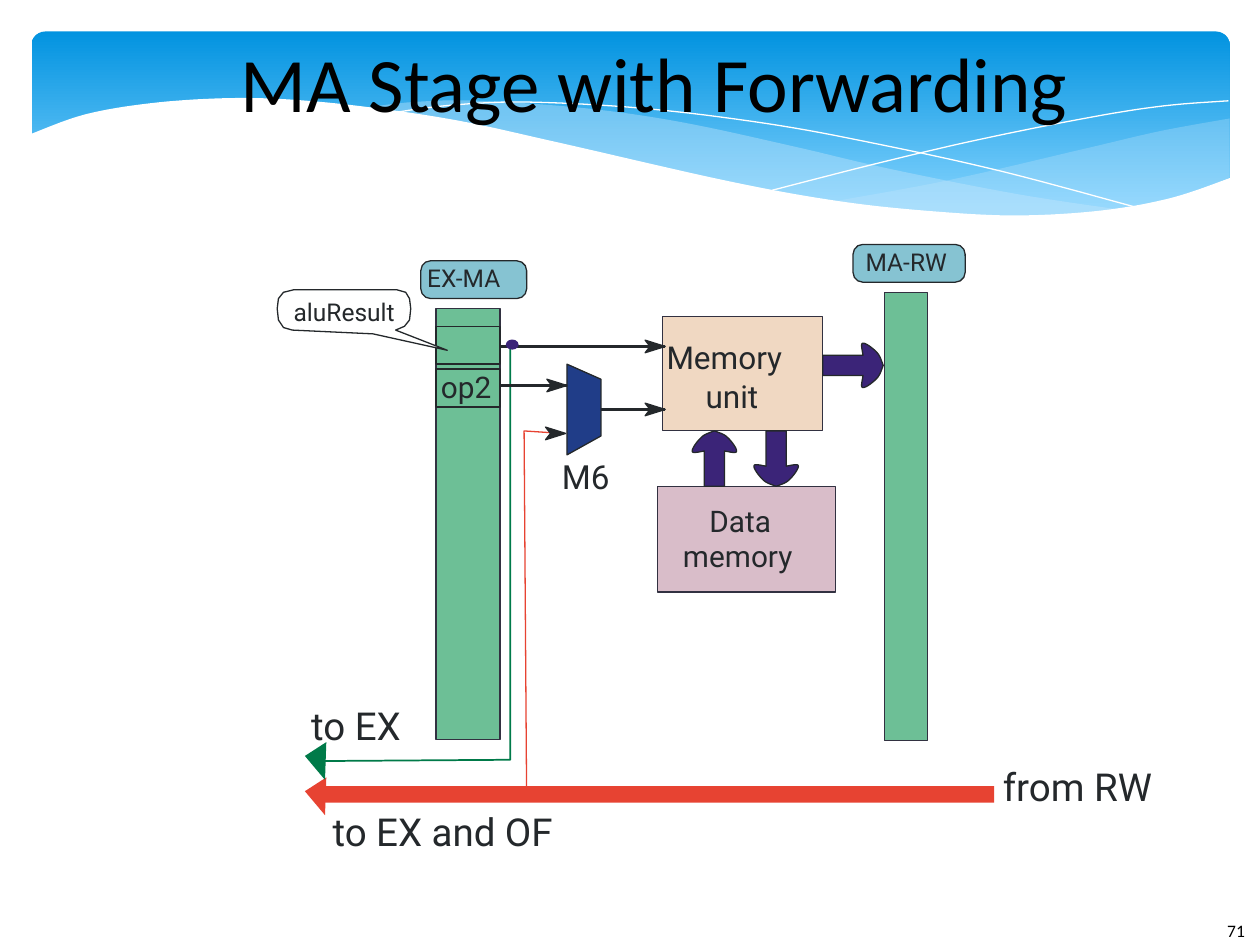
from lxml import etree
from pptx import Presentation
from pptx import util as u
from pptx.dml.color import RGBColor
from pptx.enum import shapes, text
from pptx.oxml.ns import qn

BLACK = RGBColor(0x00, 0x00, 0x00)
WHITE = RGBColor(0xFF, 0xFF, 0xFF)
INK = RGBColor(0x24, 0x28, 0x2B)
EDGE = RGBColor(0x32, 0x31, 0x41)
SKY = RGBColor(0x02, 0x93, 0xE0)
PALE_SKY = RGBColor(0x83, 0xD3, 0xFE)
MIST = RGBColor(0xC6, 0xE7, 0xFC)
LATCH = RGBColor(0x6D, 0xBF, 0x96)
LABEL = RGBColor(0x86, 0xC3, 0xD2)
MEMORY = RGBColor(0xF0, 0xD8, 0xC2)
DATA = RGBColor(0xD9, 0xBD, 0xC9)
PURPLE = RGBColor(0x3B, 0x24, 0x78)
NAVY = RGBColor(0x20, 0x3D, 0x88)
RED = RGBColor(0xE7, 0x43, 0x32)
GREEN = RGBColor(0x00, 0x7A, 0x49)

RECT = shapes.MSO_SHAPE.RECTANGLE
ROUND = shapes.MSO_SHAPE.ROUNDED_RECTANGLE
OVAL = shapes.MSO_SHAPE.OVAL


def inch(v):
    return u.Cm(v * 2.54)


def paint(sp, fill=None, line=None, width=0, alpha=None):
    sp.shadow.inherit = False
    if fill is None:
        sp.fill.background()
    else:
        sp.fill.solid()
        sp.fill.fore_color.rgb = fill
    if alpha is not None:
        clr = sp._element.spPr.find(qn("a:solidFill"))[0]
        etree.SubElement(clr, qn("a:alpha"), val=str(alpha * 1000))
    if line is None:
        sp.line.fill.background()
    else:
        sp.line.color.rgb = line
        sp.line.width = u.Pt(width)


def box(s, kind, x, y, w, h, fill, line=None):
    sp = s.shapes.add_shape(kind, inch(x), inch(y), inch(w), inch(h))
    paint(sp, fill, line)
    return sp


def outline(s, pts, closed=True, **look):
    pts = [(inch(x), inch(y)) for x, y in pts]
    fb = s.shapes.build_freeform(*pts[0])
    fb.add_line_segments(pts[1:], close=closed)
    paint(fb.convert_to_shape(), **look)


def smooth(pts, steps=8):
    ends = [pts[0], *pts, pts[-1]]
    out = [pts[0]]
    for a, b, c, d in zip(ends, ends[1:], ends[2:], ends[3:]):
        for i in range(1, steps + 1):
            t = i / steps
            out.append(tuple(
                q + t * (r - p) / 2 + t * t * (p - 2.5 * q + 2 * r - d_ / 2)
                + t ** 3 * (1.5 * (q - r) + (d_ - p) / 2)
                for p, q, r, d_ in zip(a, b, c, d)))
    return out


def wire(s, x1, x2, y):
    cn = s.shapes.add_connector(shapes.MSO_CONNECTOR.STRAIGHT,
                                inch(x1), inch(y), inch(x2), inch(y))
    cn.line.color.rgb = INK
    cn.line.width = u.Pt(0)
    etree.SubElement(cn._element.spPr, qn("a:effectLst"))


def dart(s, x, y):
    outline(s, [(x - 0.12, y), (x - 0.16, y + 0.05), (x, y), (x - 0.16, y - 0.05)],
            fill=INK, line=INK)


def block_arrow(s, x, y, dx, dy, length):
    head = smooth([(length - 0.16, 0.08), (length - 0.17, 0.17), (length - 0.12, 0.16),
                   (length - 0.04, 0.09), (length, 0)])
    half = [(0, 0.08)] + head
    pts = half + [(a, -b) for a, b in reversed(half[:-1])]
    outline(s, [(x + a * dx - b * dy, y + a * dy + b * dx) for a, b in pts],
            fill=PURPLE, line=INK)


def write(s, words, x, y, w, h, size, color=INK, font="Roboto", wrap=False,
          align=text.PP_ALIGN.LEFT, anchor=text.MSO_ANCHOR.TOP):
    tf = s.shapes.add_textbox(inch(x), inch(y), inch(w), inch(h)).text_frame
    frame = {"margin_left": 0, "margin_right": 0, "margin_top": 0, "margin_bottom": 0,
             "word_wrap": wrap, "vertical_anchor": anchor}
    for name, value in frame.items():
        setattr(tf, name, value)
    p = tf.paragraphs[0]
    p.alignment = align
    r = p.add_run()
    r.text = words
    for name, value in {"name": font, "size": u.Pt(size)}.items():
        setattr(r.font, name, value)
    r.font.color.rgb = color


def header(s):
    sp = box(s, ROUND, 0.25, 0.25, 9.51, 1.56, SKY)
    sp.adjustments[0] = 0.07
    sp.fill.gradient()
    sp.fill.gradient_angle = 270
    for stop, color, place in zip(sp.fill.gradient_stops, (SKY, PALE_SKY), (0, 0.9)):
        stop.color.rgb = color
        stop.position = place

    right_band = smooth([(9.76, 0.94), (9.21, 1.04), (8.61, 1.18), (7.53, 1.43), (6.61, 1.6)])
    right_base = smooth([(6.61, 1.6), (7.19, 1.67), (8.03, 1.72), (8.81, 1.67),
                         (9.35, 1.56), (9.76, 1.41)])
    outline(s, right_band + right_base, fill=MIST, alpha=29)

    left_band = smooth([(8.93, 1.67), (8.07, 1.54), (7.06, 1.34), (6.29, 1.16), (5.41, 0.97),
                        (4.65, 0.86), (3.8, 0.8), (3.28, 0.81), (2.86, 0.86)])
    left_base = smooth([(2.86, 0.86), (3.62, 0.97), (4.49, 1.16), (5.66, 1.43), (6.5, 1.58),
                        (7.22, 1.68), (8.07, 1.73), (8.93, 1.67)])
    outline(s, left_band + left_base, fill=MIST, alpha=40)

    for curve in (
        [(3.09, 0.9), (3.53, 0.84), (4.16, 0.81), (5.1, 0.86), (6.08, 0.98), (6.95, 1.14),
         (7.95, 1.36), (9.07, 1.66)],
        [(6.13, 1.51), (6.95, 1.3), (7.76, 1.11), (8.66, 0.93), (9.24, 0.84), (9.75, 0.8)],
    ):
        outline(s, smooth(curve), closed=False, line=WHITE)

    wave = smooth([(9.77, 1.41), (9.3, 1.57), (8.75, 1.67), (8.09, 1.71), (7.44, 1.68),
                   (6.68, 1.6), (5.79, 1.44), (4.47, 1.14), (3.65, 0.96), (2.92, 0.85),
                   (2.3, 0.79), (1.77, 0.78), (1.19, 0.82), (0.67, 0.91), (0.23, 1.07)])
    outline(s, wave + [(0.23, 2.24), (9.77, 2.24)], fill=WHITE)


def latches(s):
    for x, y, w, h in ((3.46, 2.45, 0.51, 3.42), (7.02, 2.32, 0.34, 3.56)):
        box(s, RECT, x, y, w, h, LATCH, EDGE)
    for x, y, w in ((3.34, 2.07, 0.84), (6.77, 1.94, 0.89)):
        box(s, ROUND, x, y, w, 0.3, LABEL, INK).adjustments[0] = 0.26
    for y in (2.59, 2.93):
        box(s, RECT, 3.46, y, 0.51, 0.3, LATCH, INK)


def memory(s):
    box(s, RECT, 5.26, 2.51, 1.27, 0.91, MEMORY, EDGE)
    box(s, RECT, 5.22, 3.86, 1.41, 0.84, DATA, EDGE)
    block_arrow(s, 6.53, 2.9, 1, 0, 0.48)
    block_arrow(s, 5.67, 3.86, 0, -1, 0.44)
    block_arrow(s, 6.16, 3.42, 0, 1, 0.44)


def forwarding(s):
    box(s, RECT, 2.55, 6.24, 5.34, 0.13, RED)
    outline(s, [(4.5, 2.89), (4.5, 3.61), (4.77, 3.46), (4.77, 3.01)], fill=NAVY, line=INK)
    outline(s, [(4.18, 6.27), (4.16, 3.42), (4.46, 3.44)], closed=False, line=RED)
    outline(s, [(4.05, 2.75), (4.05, 6.03), (2.53, 6.04)], closed=False, line=GREEN, width=1)
    for x1, x2, y in ((3.97, 5.28, 2.75), (3.97, 4.5, 3.06), (4.77, 5.28, 3.25)):
        wire(s, x1, x2, y)
        dart(s, x2, y)
    dart(s, 4.49, 3.44)
    for y, color in ((6.17, RED), (5.89, GREEN)):
        outline(s, [(2.59, y), (2.58, y + 0.3), (2.42, y + 0.11)], fill=color)
    box(s, OVAL, 4.02, 2.7, 0.09, 0.07, PURPLE, PURPLE)


def callout(s):
    outline(s, [(2.33, 2.3), (3.15, 2.3), (3.22, 2.32), (3.25, 2.37), (3.26, 2.45),
                (3.25, 2.54), (3.21, 2.59), (3.14, 2.62), (3.55, 2.78), (2.96, 2.65),
                (2.32, 2.62), (2.25, 2.6), (2.21, 2.54), (2.2, 2.45), (2.21, 2.37),
                (2.25, 2.32)], fill=WHITE, line=INK)


def labels(s):
    for words, x, y, w, h, size in (
        ("EX-MA", 3.39, 2.09, 0.62, 0.24, 14),
        ("MA-RW", 6.87, 1.96, 0.68, 0.24, 14),
        ("aluResult", 2.33, 2.36, 0.82, 0.24, 14),
        ("Memory", 5.29, 2.68, 1.36, 0.35, 18),
        ("unit", 5.6, 2.99, 0.73, 0.35, 18),
        ("Data", 5.63, 3.99, 0.72, 0.34, 17),
        ("memory", 5.42, 4.27, 1.11, 0.34, 17),
        ("op2", 3.5, 2.93, 0.54, 0.34, 17),
        ("M6", 4.46, 3.62, 0.53, 0.37, 19),
        ("from RW", 7.96, 6.06, 1.47, 0.44, 22),
        ("to EX", 2.47, 5.57, 1.12, 0.44, 22),
        ("to EX and OF", 2.64, 6.41, 2.43, 0.44, 22),
    ):
        write(s, words, x, y, w, h, size)


def main():
    prs = Presentation()
    prs.slide_width, prs.slide_height = inch(10), inch(7.5)
    s = prs.slides.add_slide(prs.slide_layouts[6])
    header(s)
    write(s, "71", 9.74, 7.3, 0.2, 0.17, 10, BLACK, "Calibri")
    write(s, "MA Stage with Forwarding", 1.14, 0.14, 8.11, 1.02, 44, BLACK, "Calibri",
          True, text.PP_ALIGN.CENTER, text.MSO_ANCHOR.MIDDLE)
    latches(s)
    memory(s)
    forwarding(s)
    callout(s)
    labels(s)
    prs.save("out.pptx")


if __name__ == "__main__":
    main()
